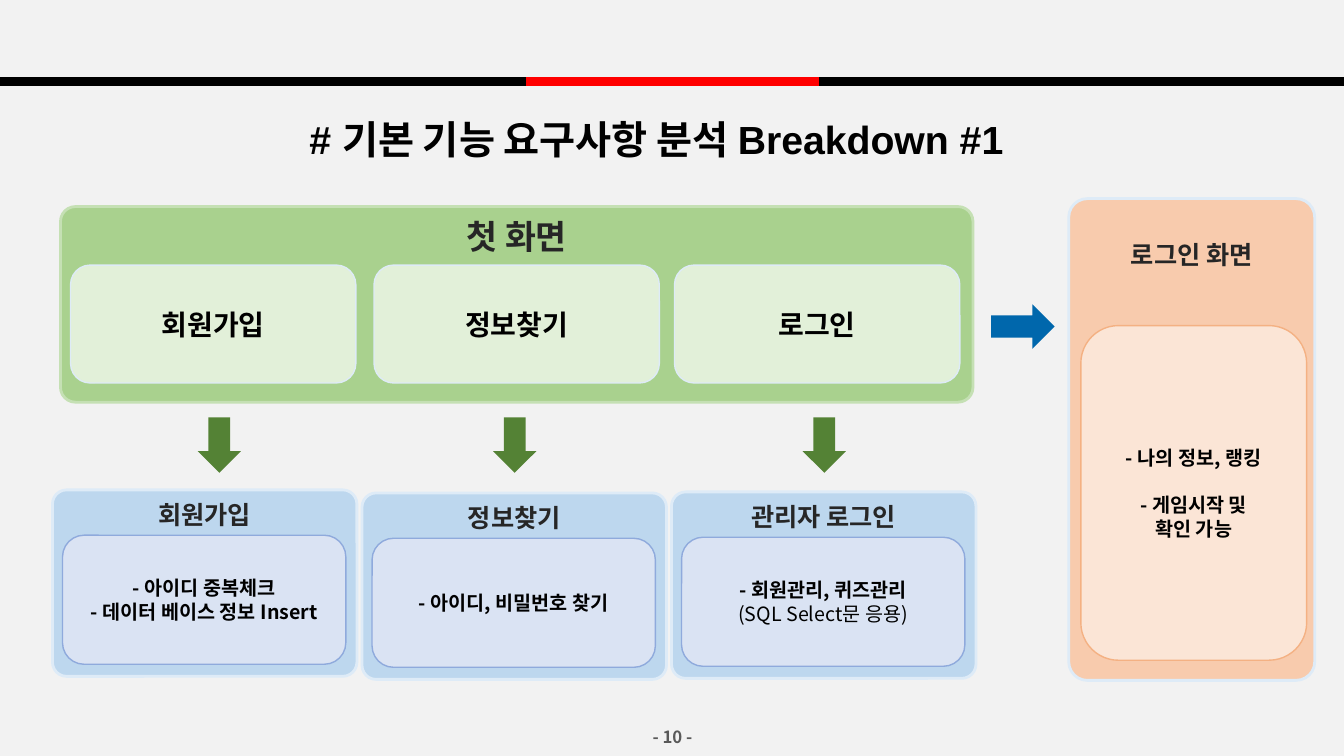
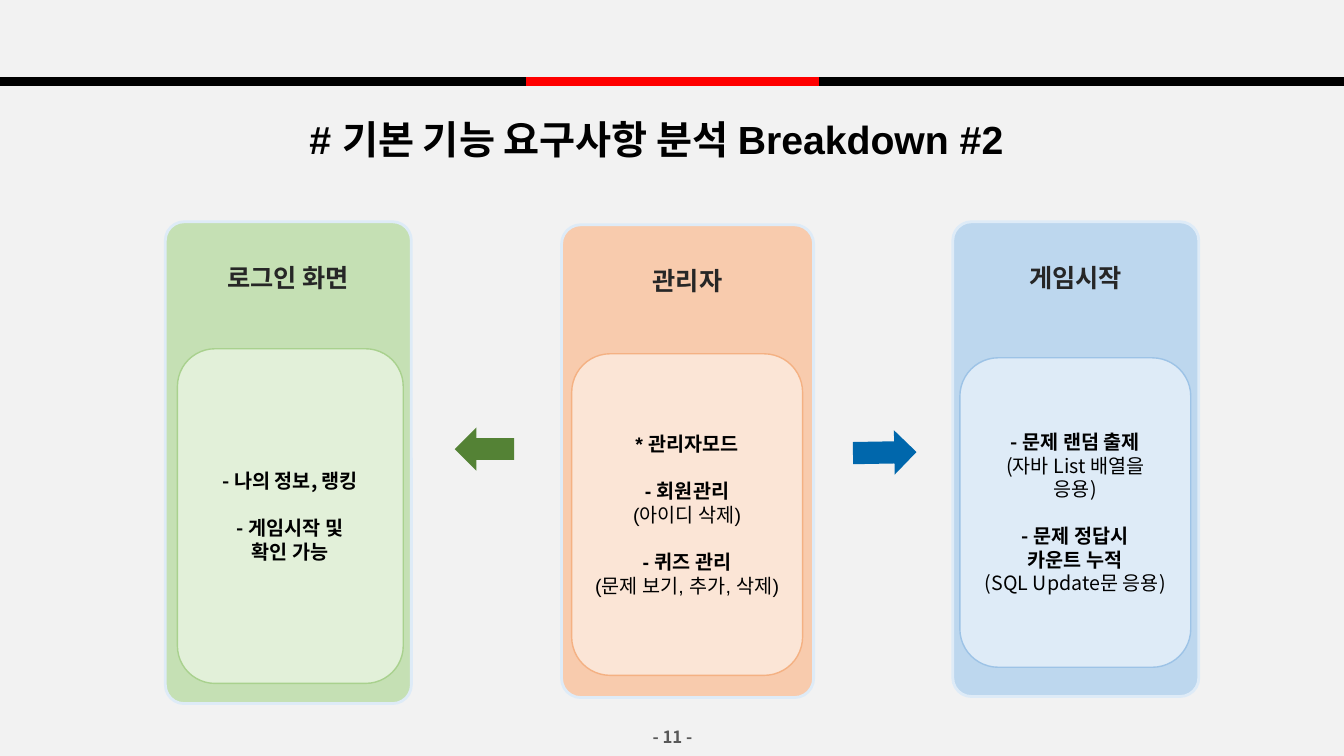
"""Build two slides that break down the basic feature requirements."""
from dataclasses import dataclass
from pptx import Presentation
from pptx.dml.color import RGBColor as RGB
from pptx.enum.shapes import MSO_CONNECTOR as LINE, MSO_SHAPE as SHAPE
from pptx.enum.text import MSO_ANCHOR as ANCHOR, MSO_AUTO_SIZE as FIT, PP_ALIGN as ALIGN
from pptx.oxml.ns import qn
from pptx.util import Inches, Pt
from lxml.etree import SubElement


@dataclass(frozen=True)
class Theme:
    latin: str = "Arial"
    korean: str = "Noto Sans CJK KR"
    ground: str = "F2F2F2"
    black: str = "000000"
    red: str = "FF0000"
    head: str = "262626"
    gray: str = "595959"
    blue: str = "0067AC"
    green: str = "548235"
    title: int = 28
    screen: int = 24
    button: int = 20
    label: int = 18
    body: int = 14
    foot: int = 12
    band: int = 6
    rim: int = 2
    edge: int = 1
    curve: float = 0.076


T = Theme()
TONES = {
    "screen": ("A9D18E", "C5E0B4", "E2F0D9", "DEEBF7"),
    "step": ("BDD7EE", "DEEBF7", "DAE3F3", "8FAADC"),
    "peach": ("F8CBAD", "DEEBF7", "FBE5D6", "F4B183"),
    "leaf": ("C5E0B4", "DEEBF7", "E2F0D9", "A9D18E"),
    "sky": ("BDD7EE", "DEEBF7", "DEEBF7", "9DC3E6"),
}
BANDS = [(0, 13.33, T.black), (5.22, 8.12, T.red)]
TITLE = "#~기본~기능~요구사항~분석~Breakdown #{}"
LOGIN = ["- 나의 정보, 랭킹", "", "- 게임시작 및", "확인 가능"]
BUTTONS = [(0.7, "회원가입"), (3.71, "정보찾기"), (6.69, "로그인")]
STEPS = [
    (4.86, "회원가입", ["-~아이디 중복체크", "- 데이터 베이스 정보 Insert"]),
    (4.89, "정보찾기", ["-~아이디, 비밀번호 찾기"]),
    (4.88, "관리자 로그인", ["- 회원관리, 퀴즈관리", "(SQL Select문 응용)"]),
]
DOWNS = [1.9, 4.83, 7.9]
ENTRY = ("peach", "로그인 화면", LOGIN, (10.6, 1.97, 2.44, 4.78), (10.72, 3.23, 2.24, 3.32), T.korean)
PANELS = [
    ("leaf", "로그인 화면", LOGIN, (1.64, 2.2, 2.44, 4.78), (1.76, 3.46, 2.24, 3.32), T.korean),
    ("peach", "관리자",
     ["*~관리자모드", "", "-~회원관리", "(아이디~삭제)", "", "-~퀴즈~관리",
      "(문제~보기,~추가,~삭제)"],
     (5.57, 2.23, 2.5, 4.69), (5.67, 3.51, 2.29, 3.19), T.latin),
    ("sky", "게임시작",
     ["- 문제 랜덤 출제", "(자바 List 배열을", "응용)", "", "-~문제 정답시", "카운트 누적",
      "(SQL Update문 응용)"],
     (9.45, 2.2, 2.44, 4.71), (9.52, 3.55, 2.29, 3.07), T.korean),
]


def box(at):
    return [Inches(n) for n in at]


def write(frame, lines, size, color, latin=T.korean):
    gap, first = 0, True
    for line in lines:
        if not line:
            gap = size * 1.2
            continue
        para = frame.paragraphs[0] if first else frame.add_paragraph()
        para.text = line.replace("~", "\u00a0")
        para.alignment = ALIGN.CENTER
        para.space_before = Pt(gap)
        for run in para.runs:
            font = run.font
            font.size, font.name = Pt(size), latin
            font.bold = "(" not in line and ")" not in line
            font.color.rgb = RGB.from_string(color)
            SubElement(font._element, qn("a:ea"), typeface=T.korean)
        gap, first = 0, False


def shape(slide, kind, at, fill, edge=None, width=0):
    item = slide.shapes.add_shape(kind, *box(at))
    item.shadow.inherit = False
    item.fill.solid()
    item.fill.fore_color.rgb = RGB.from_string(fill)
    if edge:
        item.line.color.rgb = RGB.from_string(edge)
        item.line.width = Pt(width)
    else:
        item.line.fill.background()
    return item


def arrow(slide, at, color, turn=0):
    shape(slide, SHAPE.RIGHT_ARROW, at, color).rotation = turn


def frame(slide, at, tone, text, size, top=0.05):
    fill, rim = TONES[tone][:2]
    item = shape(slide, SHAPE.ROUNDED_RECTANGLE, at, fill, rim, T.rim)
    item.adjustments[0] = T.curve
    item.text_frame.vertical_anchor = ANCHOR.TOP
    item.text_frame.margin_top = Inches(top)
    write(item.text_frame, [text], size, T.head)


def inset(slide, at, tone, lines, size=T.body, latin=T.korean):
    fill, edge = TONES[tone][2:]
    item = shape(slide, SHAPE.ROUNDED_RECTANGLE, at, fill, edge, T.edge)
    item.text_frame.vertical_anchor = ANCHOR.MIDDLE
    write(item.text_frame, lines, size, T.black, latin)


def panel(slide, tone, head, lines, outer, inner, latin):
    frame(slide, outer, tone, head, T.label, 0.35)
    inset(slide, inner, tone, lines, latin=latin)


def start(deck, part, page):
    slide = deck.slides.add_slide(deck.slide_layouts[5])
    title = slide.shapes.title
    title.left, title.top, title.width, title.height = box((2.66, 1.16, 7.7, 0.5))
    text = title.text_frame
    text.auto_size, text.vertical_anchor = FIT.NONE, ANCHOR.MIDDLE
    write(text, [TITLE.format(part)], T.title, T.black, T.latin)
    text.paragraphs[0].line_spacing = 0.9
    foot = slide.shapes.add_textbox(*box((6.44, 7.13, 0.46, 0.36))).text_frame
    foot.margin_left = foot.margin_right = 0
    foot.word_wrap, foot.vertical_anchor = False, ANCHOR.MIDDLE
    write(foot, [f"- {page} -"], T.foot, T.gray)
    return slide


def brand(slide):
    layout = slide.slide_layout
    back = layout.slide_master.background.fill
    back.solid()
    back.fore_color.rgb = RGB.from_string(T.ground)
    for order, (left, right, color) in enumerate(BANDS):
        band = slide.shapes.add_connector(LINE.STRAIGHT, *box((left, 0.81, right, 0.81)))
        band.line.color.rgb = RGB.from_string(color)
        band.line.width = Pt(T.band)
        SubElement(band.element.spPr, qn("a:effectLst"))
        band.element.nvCxnSpPr.cNvPr.id = 20 + order
        layout.shapes.element.append(band.element)


deck = Presentation()
deck.slide_width, deck.slide_height = Inches(13.33), Inches(7.5)

first = start(deck, 1, 10)
brand(first)
frame(first, (0.6, 2.05, 9.05, 1.94), "screen", "첫~화면", T.screen)
for left, text in BUTTONS:
    inset(first, (left, 2.63, 2.83, 1.17), "screen", [text], T.button)
for left in DOWNS:
    arrow(first, (left, 4.2, 0.55, 0.43), T.green, 90)
for col, (top, head, lines) in enumerate(STEPS):
    left = 0.52 + 3.07 * col
    frame(first, (left, top, 3.02, 1.85), "step", head, T.label)
    inset(first, (left + 0.1, top + 0.45, 2.81, 1.28), "step", lines)
arrow(first, (9.83, 3.02, 0.63, 0.44), T.blue)
panel(first, *ENTRY)

second = start(deck, 2, 11)
for item in PANELS:
    panel(second, *item)
arrow(second, (4.51, 4.24, 0.59, 0.43), T.green, 180)
arrow(second, (8.46, 4.27, 0.63, 0.44), T.blue, 359)

deck.save("out.pptx")
